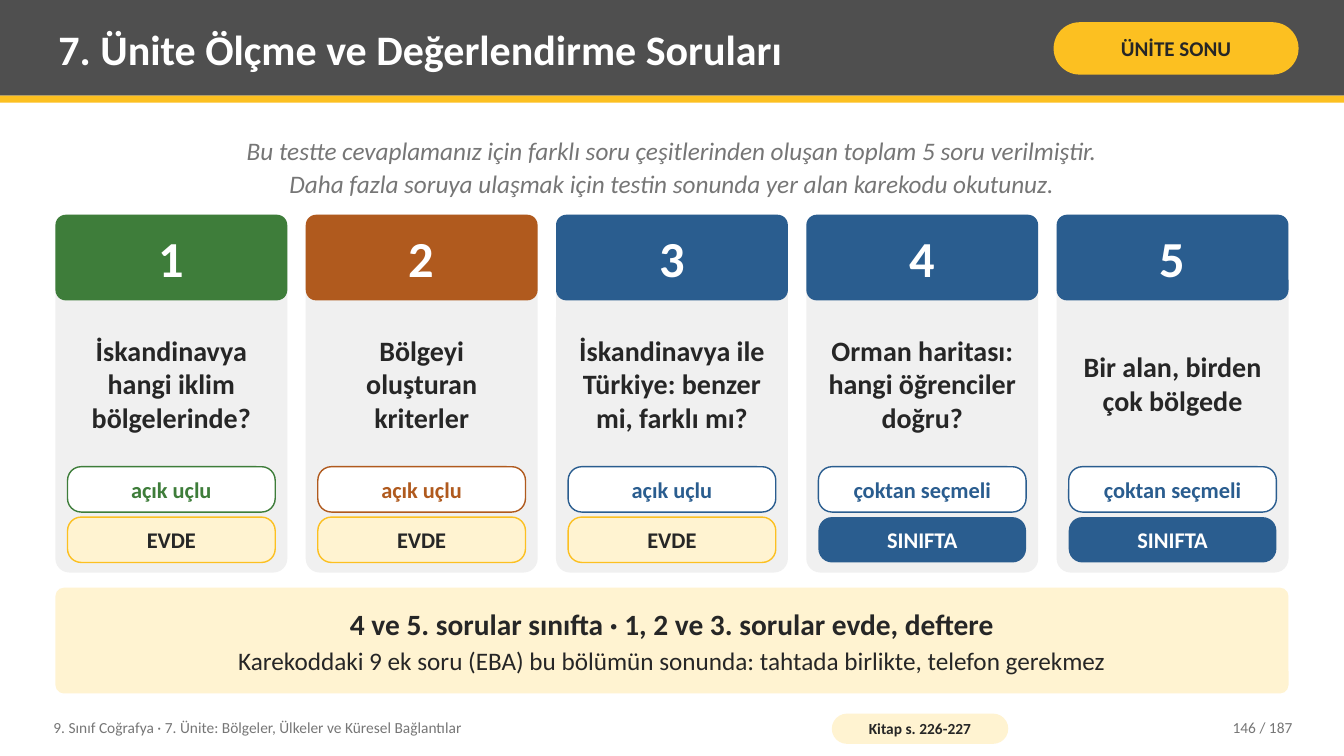
from pptx import Presentation
from pptx.dml.color import RGBColor
from pptx.enum.shapes import MSO_SHAPE as Shape
from pptx.enum.text import MSO_ANCHOR as Anchor, PP_ALIGN as Align
from pptx.util import Inches, Pt

hue = RGBColor.from_string
DARK, GOLD, CREAM = "262626", "FCC021", "FFF3D1"
GRAY, WHITE, PALE = "767676", "FFFFFF", "F0F0F0"
GREEN, RUST, BLUE = "3E7D3A", "B05A1E", "2A5D8F"

deck = Presentation()
deck.slide_width, deck.slide_height = Inches(13.33), Inches(7.5)
slide = deck.slides.add_slide(deck.slide_layouts[6])


def box(x, y, w, h, fill=None, bend=0, line=None):
    """Add a filled shape with corners rounded by bend, or a text box if fill is None."""
    place = [Inches(v) for v in (x, y, w, h)]
    if fill is None:
        return slide.shapes.add_textbox(*place)
    kind = Shape.ROUNDED_RECTANGLE if bend else Shape.RECTANGLE
    shape = slide.shapes.add_shape(kind, *place)
    if bend:
        shape.adjustments[0] = bend
    shape.shadow.inherit = False
    shape.fill.solid()
    shape.fill.fore_color.rgb = hue(fill)
    if line:
        shape.line.color.rgb = hue(line)
        shape.line.width = Pt(1)
    else:
        shape.line.fill.background()
    return shape


def write(shape, rows, color, pad=(0.08, 0.04), align=Align.CENTER,
          anchor=Anchor.MIDDLE, gap=0, italic=False):
    """Fill a shape with rows of (text, size, bold), gap points apart."""
    frame = shape.text_frame
    frame.word_wrap = True
    frame.vertical_anchor = anchor
    frame.margin_left = frame.margin_right = Inches(pad[0])
    frame.margin_top = frame.margin_bottom = Inches(pad[1])
    for i, (text, size, bold) in enumerate(rows):
        para = frame.add_paragraph() if i else frame.paragraphs[0]
        para.text = text
        para.alignment = align
        if i < len(rows) - 1:
            para.space_after = Pt(gap)
        font = para.font
        font.name, font.size = "Calibri", Pt(size)
        font.bold, font.italic = bold, italic
        font.color.rgb = hue(color)


# Header
box(0, 0, 13.33, 0.95, "4F4F4F")
box(0, 0.95, 13.33, 0.07, GOLD)
write(box(0.5, 0.07, 9.75, 0.82),
      [("7. Ünite Ölçme ve Değerlendirme Soruları", 30, True)], WHITE, align=Align.LEFT)
write(box(10.45, 0.22, 2.43, 0.52, GOLD, 0.5), [("ÜNİTE SONU", 15, True)], DARK, (0.05, 0.02))

# Introduction
left, wide = 0.55, 12.23
intro = [
    ("Bu testte cevaplamanız için farklı soru çeşitlerinden oluşan toplam 5 soru verilmiştir.", 18, False),
    ("Daha fazla soruya ulaşmak için testin sonunda yer alan karekodu okutunuz.", 18, False),
]
write(box(left, 1.3, wide, 0.72), intro, GRAY, anchor=Anchor.TOP, gap=2, italic=True)

# Question cards
home = ("EVDE", CREAM, GOLD, DARK)
room = ("SINIFTA", BLUE, None, WHITE)
cards = [
    (GREEN, "İskandinavya hangi iklim bölgelerinde?", "açık uçlu", home),
    (RUST, "Bölgeyi oluşturan kriterler", "açık uçlu", home),
    (BLUE, "İskandinavya ile Türkiye: benzer mi, farklı mı?", "açık uçlu", home),
    (BLUE, "Orman haritası: hangi öğrenciler doğru?", "çoktan seçmeli", room),
    (BLUE, "Bir alan, birden çok bölgede", "çoktan seçmeli", room),
]
top, width = 2.13, 2.3
step = (wide - width) / (len(cards) - 1)
for i, (color, title, kind, (venue, fill, edge, ink)) in enumerate(cards):
    x = left + i * step
    box(x, top, width, 3.55, PALE, 0.06)
    write(box(x, top, width, 0.85, color, 0.12), [(str(i + 1), 36, True)], WHITE, (0.14, 0.08))
    write(box(x + 0.1, top + 0.95, width - 0.2, 1.45), [(title, 20, True)], DARK)
    tags = [(kind, WHITE, color, color), (venue, fill, edge, ink)]
    for j, (label, back, rim, tint) in enumerate(tags):
        tag = box(x + 0.12, top + 2.5 + j * 0.5, width - 0.24, 0.45, back, 0.3, rim)
        write(tag, [(label, 16, True)], tint, (0.04, 0))

# Summary
plan = [
    ("4 ve 5. sorular sınıfta · 1, 2 ve 3. sorular evde, deftere", 21, True),
    ("Karekoddaki 9 ek soru (EBA) bu bölümün sonunda: tahtada birlikte, telefon gerekmez", 18, False),
]
write(box(left, 5.83, wide, 1.05, CREAM, 0.08), plan, DARK, (0.14, 0.08), gap=3)

# Footer
write(box(0.45, 7.04, 7.6, 0.36),
      [("9. Sınıf Coğrafya · 7. Ünite: Bölgeler, Ülkeler ve Küresel Bağlantılar", 11, False)],
      GRAY, align=Align.LEFT)
write(box(8.25, 7.08, 1.75, 0.3, CREAM, 0.5), [("Kitap s. 226-227", 11, True)], DARK, (0.04, 0))
write(box(11.3, 7.04, 1.6, 0.36), [("146 / 187", 11, False)], GRAY, align=Align.RIGHT)

deck.save("out.pptx")
